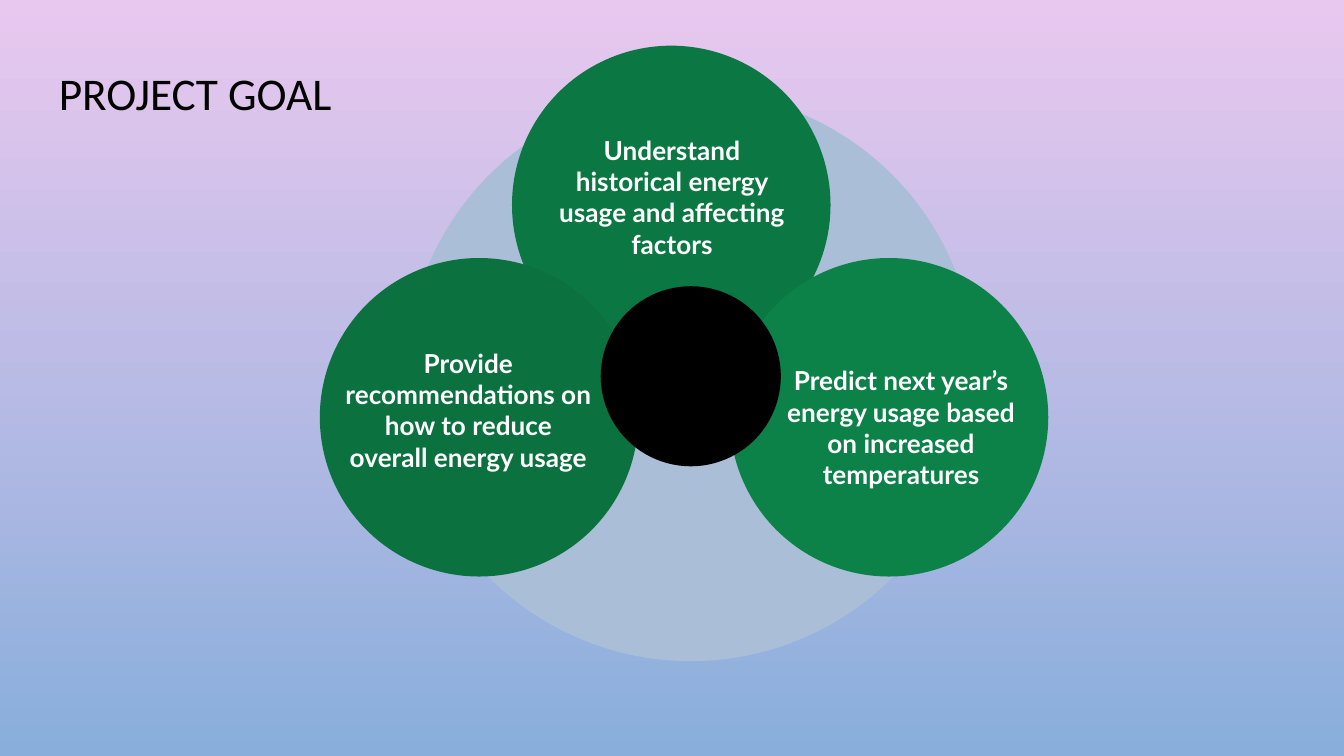
from dataclasses import dataclass

from pptx import Presentation
from pptx.dml.color import RGBColor
from pptx.enum.shapes import MSO_SHAPE
from pptx.enum.text import MSO_ANCHOR, PP_ALIGN
from pptx.util import Inches, Pt

OVAL = MSO_SHAPE.OVAL
TOP, MIDDLE = MSO_ANCHOR.TOP, MSO_ANCHOR.MIDDLE
LEFT, CENTER = PP_ALIGN.LEFT, PP_ALIGN.CENTER


@dataclass(frozen=True)
class Theme:
    sky: tuple = ("E9C8EF", "89AEDB")
    disc: str = "AABED7"
    black: str = "000000"
    white: str = "FFFFFF"
    title_font: str = "Calibri"
    label_font: str = "Lato"
    title_size: float = 24.3
    label_size: float = 14
    inset: float = 0.1


class Deck:
    """Builds elements on the current slide in one theme."""

    def __init__(self, prs, theme):
        self.theme = theme
        self.s = prs.slides.add_slide(prs.slide_layouts[6])

    def background(self):
        fill = self.s.background.fill
        fill.gradient()
        fill.gradient_angle = 270
        for stop, position, color in zip(fill.gradient_stops, (0, 1), self.theme.sky):
            stop.position = position
            stop.color.rgb = RGBColor.from_string(color)

    def circle(self, left, top, size, color, shapes=None):
        shapes = shapes or self.s.shapes
        sp = shapes.add_shape(OVAL, Inches(left), Inches(top), Inches(size), Inches(size))
        sp.shadow.inherit = False
        sp.fill.solid()
        sp.fill.fore_color.rgb = RGBColor.from_string(color)
        sp.line.fill.background()

    def text(self, box, text, font, size, color, align, anchor, bold=False, shapes=None):
        shapes = shapes or self.s.shapes
        tf = shapes.add_textbox(*map(Inches, box)).text_frame
        tf.word_wrap = True
        tf.vertical_anchor = anchor
        inset = Inches(self.theme.inset)
        tf.margin_left = tf.margin_right = tf.margin_top = tf.margin_bottom = inset
        tf.text = text
        p = tf.paragraphs[0]
        p.alignment = align
        r = p.runs[0]
        r.font.name, r.font.size, r.font.bold = font, Pt(size), bold
        r.font.color.rgb = RGBColor.from_string(color)
        return p

    def title(self, box, text):
        t = self.theme
        p = self.text(box, text, t.title_font, t.title_size, t.black, LEFT, TOP)
        p.line_spacing = 0.9

    def petal(self, left, top, size, color, label_box, label):
        t = self.theme
        shapes = self.s.shapes.add_group_shape().shapes
        self.circle(left, top, size, color, shapes)
        self.text(label_box, label, t.label_font, t.label_size, t.white,
                  CENTER, MIDDLE, True, shapes)


def main():
    prs = Presentation()
    prs.slide_width, prs.slide_height = Inches(10), Inches(10 * 9 / 16)
    theme = Theme()
    deck = Deck(prs, theme)
    petal_size = 2.37
    petals = [
        (3.81, 0.34, "0B7743", (3.98, 0.8, 2.04, 1.33),
         "Understand historical energy usage and affecting factors"),
        (2.38, 1.92, "0B713F", (2.47, 2.02, 2.03, 2.06),
         "Provide recommendations on how to reduce overall energy usage"),
        (5.43, 1.92, "0C8148", (5.69, 2.29, 2.03, 1.78),
         "Predict next year’s energy usage based on increased temperatures"),
    ]

    deck.background()
    deck.title((0.34, 0.43, 9.24, 0.68), "PROJECT GOAL")
    deck.circle(3.02, 0.68, 4.24, theme.disc)
    for left, top, color, label_box, label in petals:
        deck.petal(left, top, petal_size, color, label_box, label)
    deck.circle(4.47, 2.13, 1.34, theme.black)
    prs.save("out.pptx")


if __name__ == "__main__":
    main()
